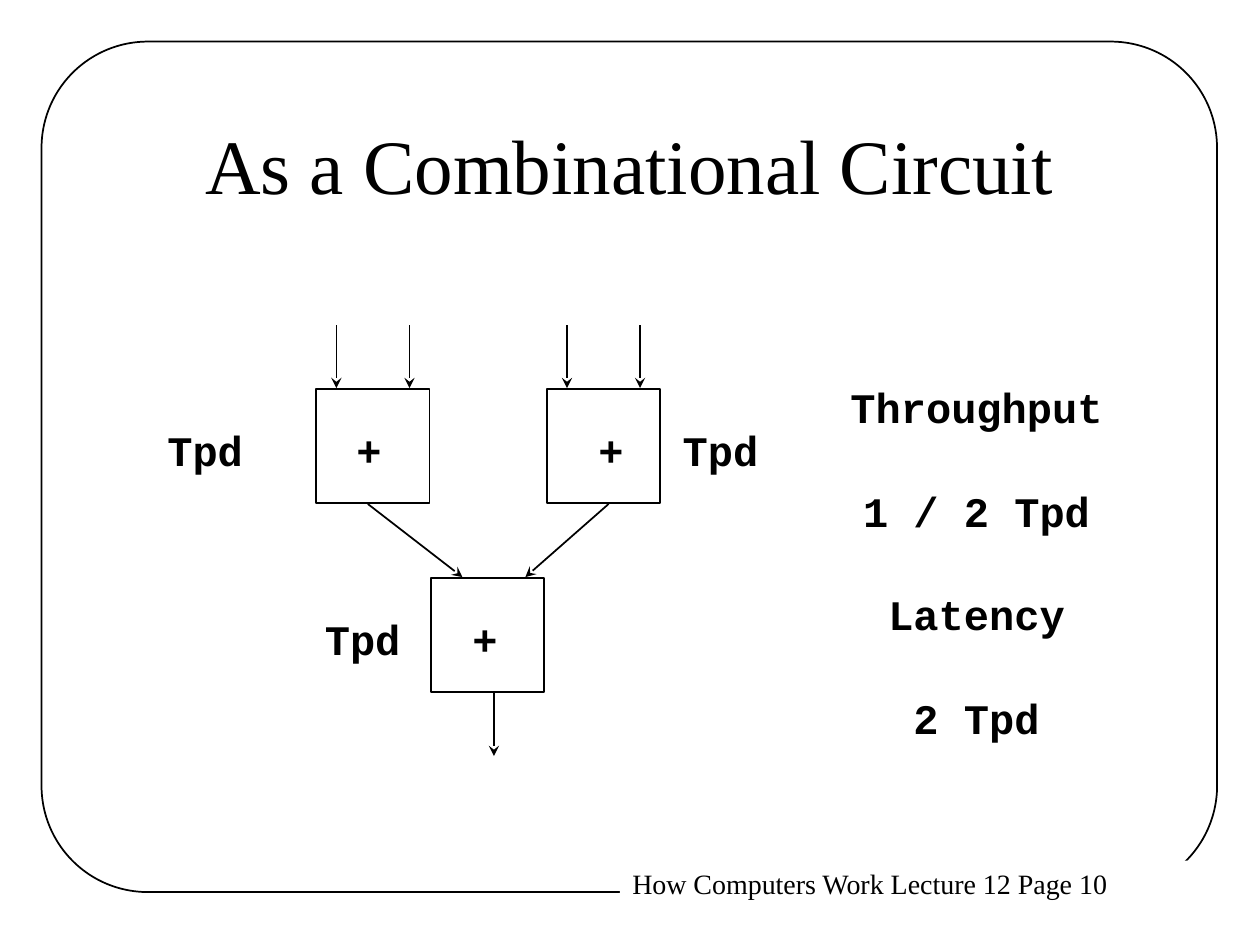
import pptx
import pptx.util
import pptx.dml.color
import pptx.enum.shapes
import pptx.enum.text
import pptx.oxml
import pptx.oxml.ns

Inches = pptx.util.Inches
Pt = pptx.util.Pt
Shape = pptx.enum.shapes.MSO_SHAPE
Align = pptx.enum.text.PP_ALIGN
Anchor = pptx.enum.text.MSO_ANCHOR

BLACK = pptx.dml.color.RGBColor(0, 0, 0)
WHITE = pptx.dml.color.RGBColor(255, 255, 255)
SERIF = "Times New Roman"
MONO = "Courier New"


class Painter:
    """Holds the line style and the page being drawn."""

    line_width = Pt(1)

    def __init__(self, page):
        self.page = page

    def outline(self, line):
        line.color.rgb = BLACK
        line.width = self.line_width

    def shape(self, kind, left, top, width, height, fill=None):
        shape = self.page.shapes.add_shape(
            kind, Inches(left), Inches(top), Inches(width), Inches(height))
        shape.shadow.inherit = False
        if fill is None:
            shape.fill.background()
        else:
            shape.fill.solid()
            shape.fill.fore_color.rgb = fill
        self.outline(shape.line)
        return shape

    def arrow(self, start_x, start_y, end_x, end_y):
        arrow = self.page.shapes.add_connector(
            pptx.enum.shapes.MSO_CONNECTOR.STRAIGHT,
            Inches(start_x), Inches(start_y), Inches(end_x), Inches(end_y))
        self.outline(arrow.line)
        head = pptx.oxml.parse_xml(
            f'<a:tailEnd {pptx.oxml.ns.nsdecls("a")} type="stealth"/>')
        arrow.line._get_or_add_ln().append(head)
        effects = pptx.oxml.parse_xml(
            f'<a:effectLst {pptx.oxml.ns.nsdecls("a")}/>')
        arrow._element.spPr.append(effects)

    def text(self, lines, left, top, width, height, size=24, font=MONO,
             bold=True, align=Align.LEFT, anchor=Anchor.TOP, wrap=False,
             gap=0, fill=None):
        box = self.page.shapes.add_textbox(
            Inches(left), Inches(top), Inches(width), Inches(height))
        if fill is not None:
            box.fill.solid()
            box.fill.fore_color.rgb = fill
        frame = box.text_frame
        frame.word_wrap = wrap
        frame.vertical_anchor = anchor
        frame.text = "\n".join(lines)
        for index, paragraph in enumerate(frame.paragraphs):
            paragraph.alignment = align
            if index:
                paragraph.space_before = Pt(gap)
            paragraph.font.name = font
            paragraph.font.size = Pt(size)
            paragraph.font.bold = bold
            paragraph.font.color.rgb = BLACK


def main():
    deck = pptx.Presentation()
    deck.slide_width = Inches(10)
    deck.slide_height = Inches(7.5)
    painter = Painter(deck.slides.add_slide(deck.slide_layouts[6]))

    # Frame, with the footer covering part of its lower edge
    frame = painter.shape(Shape.ROUNDED_RECTANGLE, 0.33, 0.33, 9.33, 6.75)
    frame.adjustments[0] = 0.125
    painter.text(["How Computers Work Lecture 12 Page 10"],
                 4.92, 6.83, 4.7, 0.37, size=16, font=SERIF, bold=False,
                 wrap=True, fill=WHITE)

    # Title
    painter.text(["As a Combinational Circuit"], 0.75, 0.67, 8.5, 1.25,
                 size=44, font=SERIF, bold=False, align=Align.CENTER,
                 anchor=Anchor.MIDDLE, wrap=True)

    # Adders: box left, box top, plus left, delay label left
    adders = [(2.51, 3.09, 2.73, 1.23),
              (4.34, 3.09, 4.65, 5.32),
              (3.42, 4.59, 3.65, 2.48)]
    for left, top, plus_left, delay_left in adders:
        painter.shape(Shape.RECTANGLE, left, top, 0.9, 0.9, fill=WHITE)
        painter.text(["+"], plus_left, top + 0.23, 0.4, 0.5)
        painter.text(["Tpd"], delay_left, top + 0.23, 0.8, 0.5)

    # Inputs, links between adders, and output
    for x in (2.67, 3.25, 4.5, 5.08):
        painter.arrow(x, 2.58, x, 3.08)
    painter.arrow(2.92, 4, 3.67, 4.58)
    painter.arrow(4.83, 4, 4.17, 4.58)
    painter.arrow(3.92, 5.5, 3.92, 6)

    # Performance figures
    painter.text(["Throughput", "1 / 2 Tpd", "Latency", "2 Tpd"],
                 6.65, 2.98, 2.2, 2.9, align=Align.CENTER, gap=30.4)

    deck.save("out.pptx")


if __name__ == "__main__":
    main()
